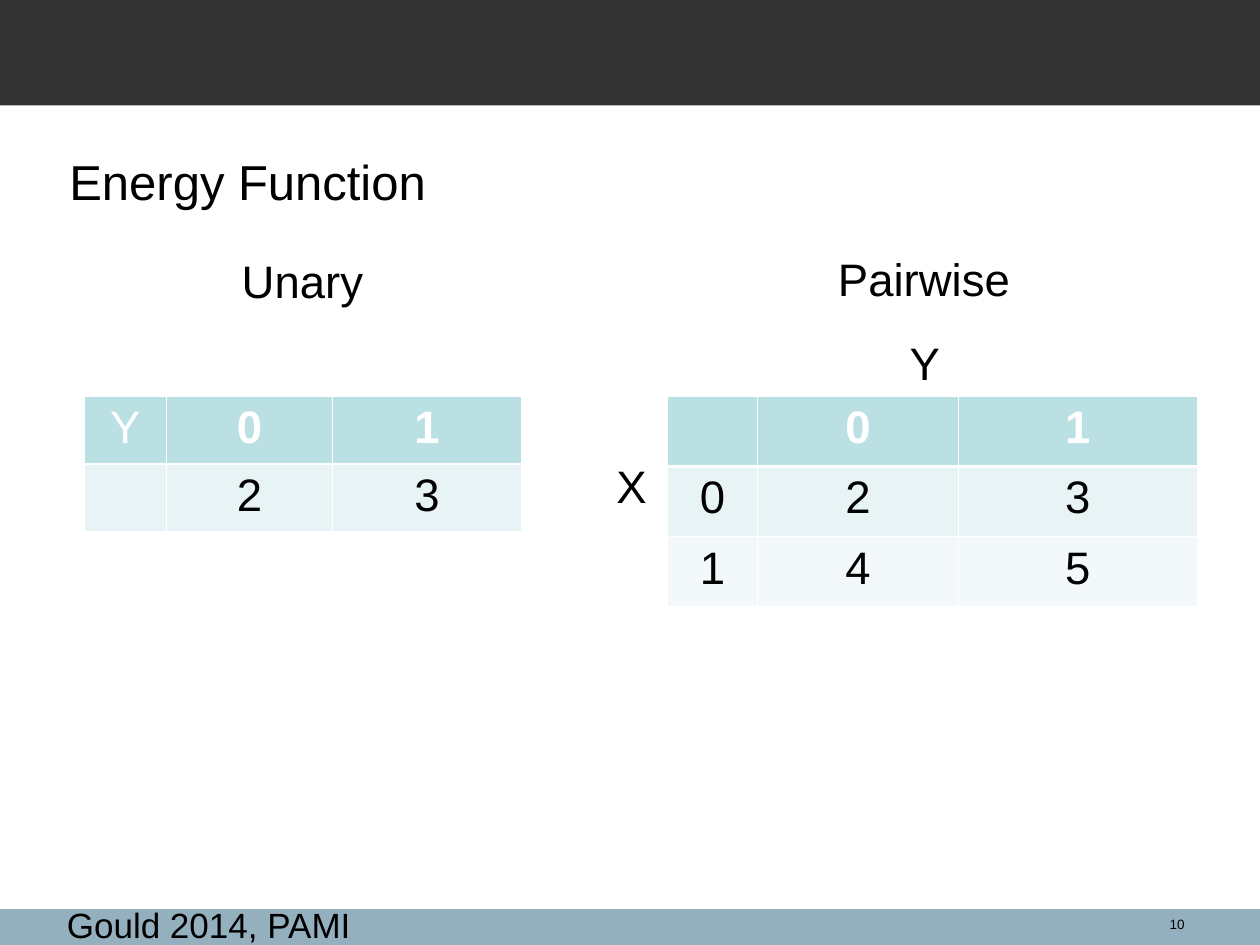
from dataclasses import dataclass

from lxml import etree
from pptx import Presentation
from pptx.dml.color import RGBColor
from pptx.enum.shapes import MSO_SHAPE
from pptx.enum.text import MSO_AUTO_SIZE, PP_ALIGN
from pptx.oxml.ns import qn
from pptx.util import Pt

RECTANGLE = MSO_SHAPE.RECTANGLE
GROW, FIXED = MSO_AUTO_SIZE.SHAPE_TO_FIT_TEXT, MSO_AUTO_SIZE.NONE
LEFT, CENTER, RIGHT = PP_ALIGN.LEFT, PP_ALIGN.CENTER, PP_ALIGN.RIGHT

COLORS = {
    "black": "000000",
    "white": "FFFFFF",
    "title_bar": "333333",
    "footer_bar": "94B0BE",
    "header_row": "BBE0E3",
    "odd_row": "E7F3F4",
    "even_row": "F3F9FA",
}
FONT = "Arial"
PAGE_WIDTH, PAGE_HEIGHT = 720, 540
TABLE_TOP = 226.5
TABLE_TEXT_SIZE = 26
THIN_LINE, HEADER_LINE = 0.45, 1.47


@dataclass
class Bar:
    top: float
    height: float
    color: str


@dataclass
class Label:
    text: str
    left: float
    top: float
    width: float
    height: float
    size: float = 26
    align: PP_ALIGN = LEFT
    grows: bool = True


@dataclass
class EnergyTable:
    left: float
    columns: list[float]
    row_height: float
    side_margin: float
    rows: list[list[str]]
    bold_header: list[bool]


BARS = [
    Bar(519.5, 20.5, "footer_bar"),
    Bar(0, 60.2, "title_bar"),
]
# Widths leave a little room so that each label stays on one line
LABELS = [
    Label("10", 637.92, 519.84, 46.08, 17.28, 7.7, RIGHT, False),
    Label("Energy Function", 32.6, 82.8, 222, 41.04, 28),
    Label("Gould 2014, PAMI", 31.1, 512.64, 182, 31.68, 20),
    Label("Unary", 131.04, 141.12, 88, 38.88),
    Label("Pairwise", 471.8, 139.68, 117, 38.88),
    Label("X", 345.1, 258.2, 34, 38.88),
    Label("Y", 512.64, 188.1, 34, 38.88),
]
TABLES = [
    EnergyTable(48.24, [46.8, 95.04, 108], 38.52, 5.04,
                [["Y", "0", "1"], ["", "2", "3"]], [False, True, True]),
    EnergyTable(381.6, [51.12, 115.2, 136.08], 40.08, 7.2,
                [["", "0", "1"], ["0", "2", "3"], ["1", "4", "5"]], [True] * 3),
]


def rgb(name: str) -> RGBColor:
    return RGBColor.from_string(COLORS[name])


def write(para, text: str, align: PP_ALIGN, size: float,
          color: str = "black", bold: bool = False) -> None:
    para.alignment = align
    span = para.add_run()
    span.text = text
    span.font.color.rgb = rgb(color)
    formats = {"name": FONT, "size": Pt(size), "bold": bold}
    for name, value in formats.items():
        setattr(span.font, name, value)


def draw_bar(page, bar: Bar) -> None:
    shape = page.shapes.add_shape(
        RECTANGLE, Pt(0), Pt(bar.top), Pt(PAGE_WIDTH), Pt(bar.height))
    shape.shadow.inherit = False
    shape.fill.solid()
    shape.fill.fore_color.rgb = rgb(bar.color)
    shape.line.fill.background()


def draw_label(page, label: Label) -> None:
    box = page.shapes.add_textbox(
        Pt(label.left), Pt(label.top), Pt(label.width), Pt(label.height))
    frame = box.text_frame
    formats = {
        "word_wrap": True,
        "auto_size": GROW if label.grows else FIXED,
        "margin_left": Pt(7.2), "margin_right": Pt(7.2),
        "margin_top": Pt(3.6), "margin_bottom": Pt(3.6),
    }
    for name, value in formats.items():
        setattr(frame, name, value)
    write(frame.paragraphs[0], label.text, label.align, label.size)


def add_borders(cell, widths: dict[str, float]) -> None:
    # Border elements come before the fill in the cell properties
    properties = cell._tc.get_or_add_tcPr()
    for position, (side, width) in enumerate(widths.items()):
        line = etree.Element(qn(f"a:{side}"), w=str(int(Pt(width))))
        fill = etree.SubElement(line, qn("a:solidFill"))
        etree.SubElement(fill, qn("a:srgbClr"), val=COLORS["white"])
        properties.insert(position, line)


def draw_table(page, energy: EnergyTable) -> None:
    row_count = len(energy.rows)
    table = page.shapes.add_table(
        row_count, len(energy.columns), Pt(energy.left), Pt(TABLE_TOP),
        Pt(sum(energy.columns)), Pt(energy.row_height * row_count)).table
    table.first_row = table.horz_banding = False
    for column, width in zip(table.columns, energy.columns):
        column.width = Pt(width)
    row_fills = ["header_row", "odd_row", "even_row"]
    for row_index, texts in enumerate(energy.rows):
        table.rows[row_index].height = Pt(energy.row_height)
        is_header = row_index == 0
        borders = {
            "lnL": THIN_LINE,
            "lnR": THIN_LINE,
            "lnT": HEADER_LINE if row_index == 1 else THIN_LINE,
            "lnB": HEADER_LINE if is_header else THIN_LINE,
        }
        for column_index, text in enumerate(texts):
            cell = table.cell(row_index, column_index)
            cell.margin_left = cell.margin_right = Pt(energy.side_margin)
            cell.margin_top = cell.margin_bottom = Pt(3.6)
            cell.fill.solid()
            cell.fill.fore_color.rgb = rgb(row_fills[row_index])
            add_borders(cell, borders)
            if text:
                write(cell.text_frame.paragraphs[0], text, CENTER, TABLE_TEXT_SIZE,
                      "white" if is_header else "black",
                      is_header and energy.bold_header[column_index])


def main() -> None:
    deck = Presentation()
    deck.slide_width, deck.slide_height = Pt(PAGE_WIDTH), Pt(PAGE_HEIGHT)
    page = deck.slides.add_slide(deck.slide_layouts[6])
    page.background.fill.solid()
    page.background.fill.fore_color.rgb = rgb("white")

    # Title and footer bars
    for bar in BARS:
        draw_bar(page, bar)
    # Headings, axis names, citation and page number
    for label in LABELS:
        draw_label(page, label)
    # Unary and pairwise energies
    for energy in TABLES:
        draw_table(page, energy)

    deck.save("out.pptx")


if __name__ == "__main__":
    main()
